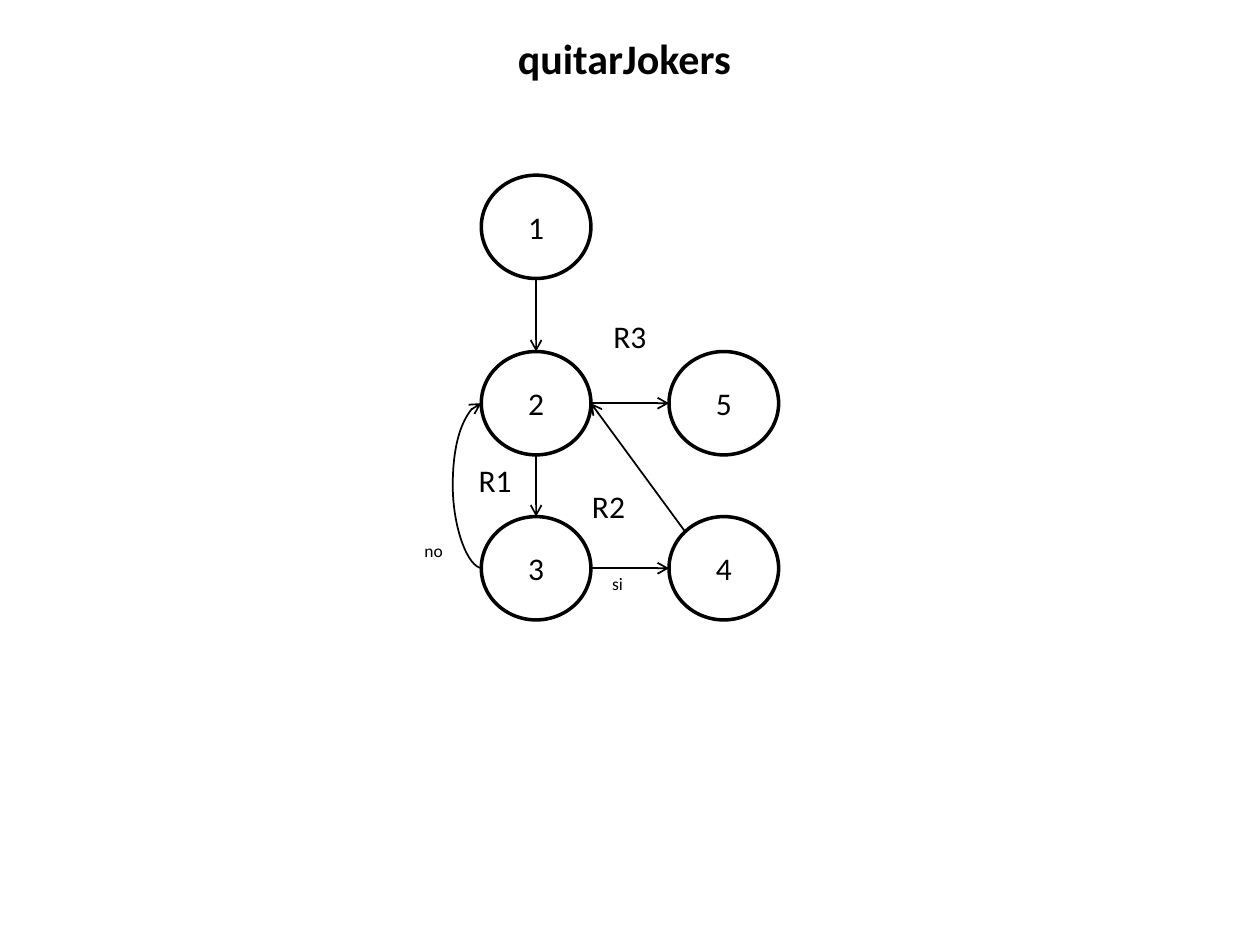
"""Build the control-flow graph slide for quitarJokers."""
from lxml.etree import SubElement
from pptx import Presentation
from pptx.dml.color import RGBColor
from pptx.enum.shapes import MSO_CONNECTOR as Link, MSO_SHAPE as Shape
from pptx.enum.text import MSO_ANCHOR as Anchor, MSO_AUTO_SIZE as Fit, PP_ALIGN as Align
from pptx.oxml.ns import qn
from pptx.util import Inches, Pt

BLACK = RGBColor(0, 0, 0)
NODE_W, NODE_H = 0.87, 0.82
COLUMNS = [3.82, 5.31]
ROWS = [1.39, 2.79, 4.1]


def write(holder, text, size=18, bold=False, align=Align.LEFT, anchor=Anchor.TOP,
          wrap=True, fit=Fit.NONE):
    frame = holder.text_frame
    frame.word_wrap = wrap
    frame.auto_size = fit
    frame.vertical_anchor = anchor
    paragraph = frame.paragraphs[0]
    paragraph.alignment = align
    run = paragraph.add_run()
    run.text = text
    run.font.name = "Calibri"
    run.font.size = Pt(size)
    run.font.bold = bold
    run.font.color.rgb = BLACK


def draw_arrow(start, end, kind=Link.STRAIGHT):
    arrow = slide.shapes.add_connector(kind, *map(Inches, start + end))
    arrow.line.color.rgb = BLACK
    arrow.line.width = Pt(1)
    SubElement(arrow.line._get_or_add_ln(), qn("a:tailEnd"), type="arrow")
    SubElement(arrow._element.spPr, qn("a:effectLst"))
    return arrow


deck = Presentation()
deck.slide_width, deck.slide_height = Inches(10), Inches(7.5)
slide = deck.slides.add_slide(deck.slide_layouts[6])

cells = {"1": (0, 0), "3": (0, 2), "2": (0, 1), "4": (1, 2), "5": (1, 1)}
top, bottom, left, right = {}, {}, {}, {}
for number, (column, row) in cells.items():
    x, y = COLUMNS[column], ROWS[row]
    node = slide.shapes.add_shape(Shape.OVAL, *map(Inches, (x, y, NODE_W, NODE_H)))
    node.shadow.inherit = False
    node.fill.background()
    node.line.color.rgb = BLACK
    node.line.width = Pt(2)
    write(node, number, align=Align.CENTER, anchor=Anchor.MIDDLE)
    top[number] = (x + NODE_W / 2, y)
    bottom[number] = (x + NODE_W / 2, y + NODE_H)
    left[number] = (x, y + NODE_H / 2)
    right[number] = (x + NODE_W, y + NODE_H / 2)

upper_left_of_4 = (COLUMNS[1] + 0.15 * NODE_W, ROWS[2] + 0.15 * NODE_H)
for start, end in [
    (bottom["1"], top["2"]),
    (bottom["2"], top["3"]),
    (right["3"], left["4"]),
    (upper_left_of_4, right["2"]),
    (right["2"], left["5"]),
]:
    draw_arrow(start, end)

loop_start = (left["3"][0] + 0.01, left["3"][1])
loop_back = draw_arrow(loop_start, left["2"], Link.CURVE)
bend = loop_back._element.spPr.find(qn("a:prstGeom")).get_or_add_avLst()
SubElement(bend, qn("a:gd"), name="adj1", fmla="val 2400000")

title = slide.shapes.add_textbox(*map(Inches, (1.05, 0.21, 7.81, 0.5)))
write(title, "quitarJokers", size=24, bold=True, align=Align.CENTER, fit=Fit.SHAPE_TO_FIT_TEXT)

for text, x, y, width, height, size in [
    ("R1", 3.7, 3.61, 0.47, 0.4, 18),
    ("R2", 4.6, 3.82, 0.47, 0.4, 18),
    ("R3", 4.77, 2.47, 0.47, 0.4, 18),
    ("si", 4.76, 4.5, 0.29, 0.27, 10),
    ("no", 3.27, 4.24, 0.35, 0.27, 10),
]:
    label = slide.shapes.add_textbox(*map(Inches, (x, y, width, height)))
    write(label, text, size=size, wrap=False, fit=Fit.SHAPE_TO_FIT_TEXT)

deck.save("out.pptx")
